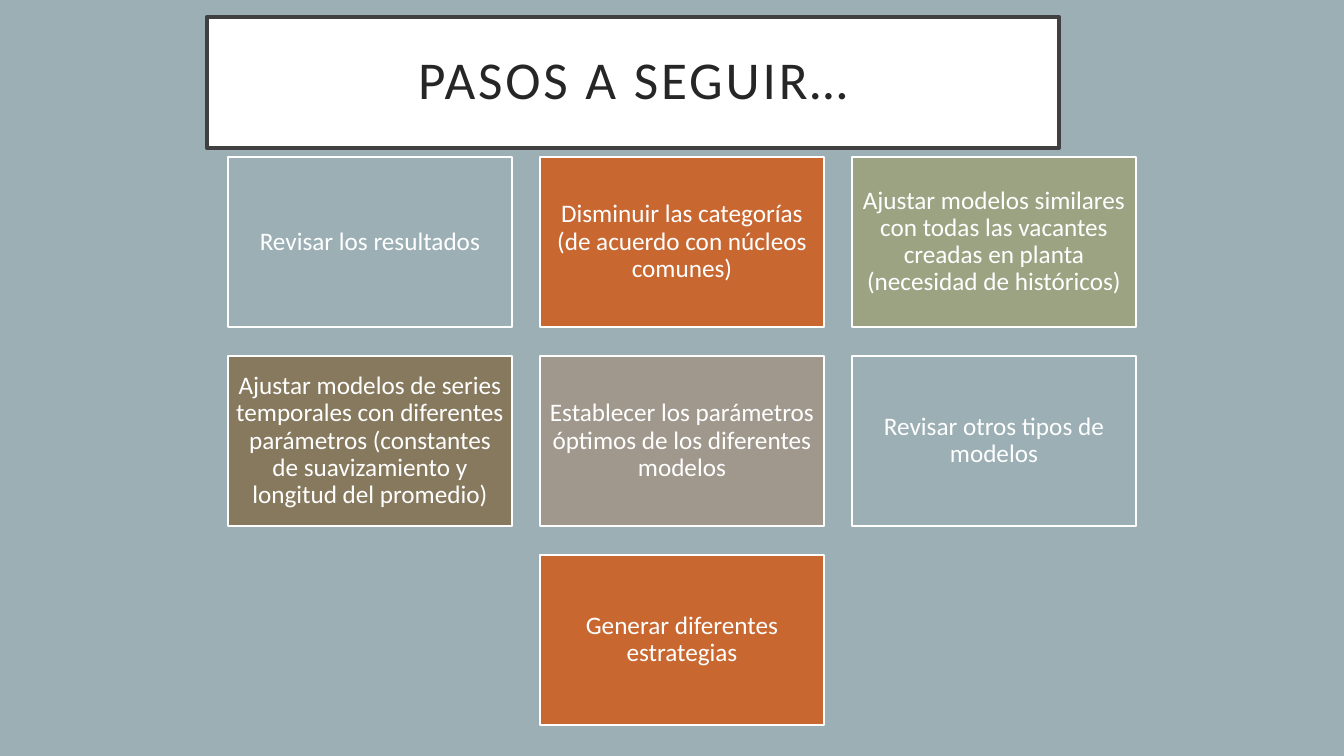
from pptx import Presentation
from pptx.dml.color import RGBColor
from pptx.enum.shapes import MSO_SHAPE
from pptx.enum.text import MSO_ANCHOR, MSO_AUTO_SIZE, PP_ALIGN
from pptx.util import Pt

PIXEL = 12192000 / 1344


def px(count):
    return round(count * PIXEL)


def format_box(box, fill, line, line_width, text, size, color, inset_x, inset_y):
    box.fill.solid()
    box.fill.fore_color.rgb = RGBColor.from_string(fill)
    box.line.color.rgb = RGBColor.from_string(line)
    box.line.width = Pt(line_width)
    frame = box.text_frame
    frame.text = text
    frame.word_wrap = True
    frame.auto_size = MSO_AUTO_SIZE.NONE
    frame.vertical_anchor = MSO_ANCHOR.MIDDLE
    frame.margin_left = frame.margin_right = px(inset_x)
    frame.margin_top = frame.margin_bottom = px(inset_y)
    para = frame.paragraphs[0]
    para.alignment = PP_ALIGN.CENTER
    para.line_spacing = 0.9
    para.font.name = "Calibri"
    para.font.size = Pt(size)
    para.font.color.rgb = RGBColor.from_string(color)


deck = Presentation()
deck.slide_width, deck.slide_height = px(1344), px(756)
page = deck.slides.add_slide(deck.slide_layouts[5])
page.background.fill.solid()
page.background.fill.fore_color.rgb = RGBColor.from_string("9BAFB5")

# Title
title = page.shapes.title
title.left, title.top, title.width, title.height = px(207), px(17), px(852), px(131)
format_box(title, "FFFFFF", "404040", 3, "PASOS A SEGUIR…", 38, "262626", 30, 20)
title.text_frame.paragraphs[0].runs[0].font._element.set("spc", "200")

# Steps: three per row, the last one in the middle column
WIDTH, HEIGHT, GAP_X, GAP_Y = 284, 170, 28, 29
steps = [
    (0, 0, "9BAFB5", "Revisar los resultados"),
    (0, 1, "C96731", "Disminuir las categorías (de acuerdo con núcleos comunes)"),
    (0, 2, "9CA383", "Ajustar modelos similares con todas las vacantes creadas "
                     "en planta (necesidad de históricos)"),
    (1, 0, "87795D", "Ajustar modelos de series temporales con diferentes parámetros "
                     "(constantes de suavizamiento y longitud del promedio)"),
    (1, 1, "A0988C", "Establecer los parámetros óptimos de los diferentes modelos"),
    (1, 2, "9BAFB5", "Revisar otros tipos de modelos"),
    (2, 1, "C96731", "Generar diferentes estrategias"),
]
for row, column, fill, text in steps:
    left = 228 + column * (WIDTH + GAP_X)
    top = 157 + row * (HEIGHT + GAP_Y)
    step = page.shapes.add_shape(
        MSO_SHAPE.RECTANGLE, px(left), px(top), px(WIDTH), px(HEIGHT))
    step.shadow.inherit = False
    format_box(step, fill, "FFFFFF", 1, text, 18, "FFFFFF", 7, 7)

deck.save("out.pptx")
